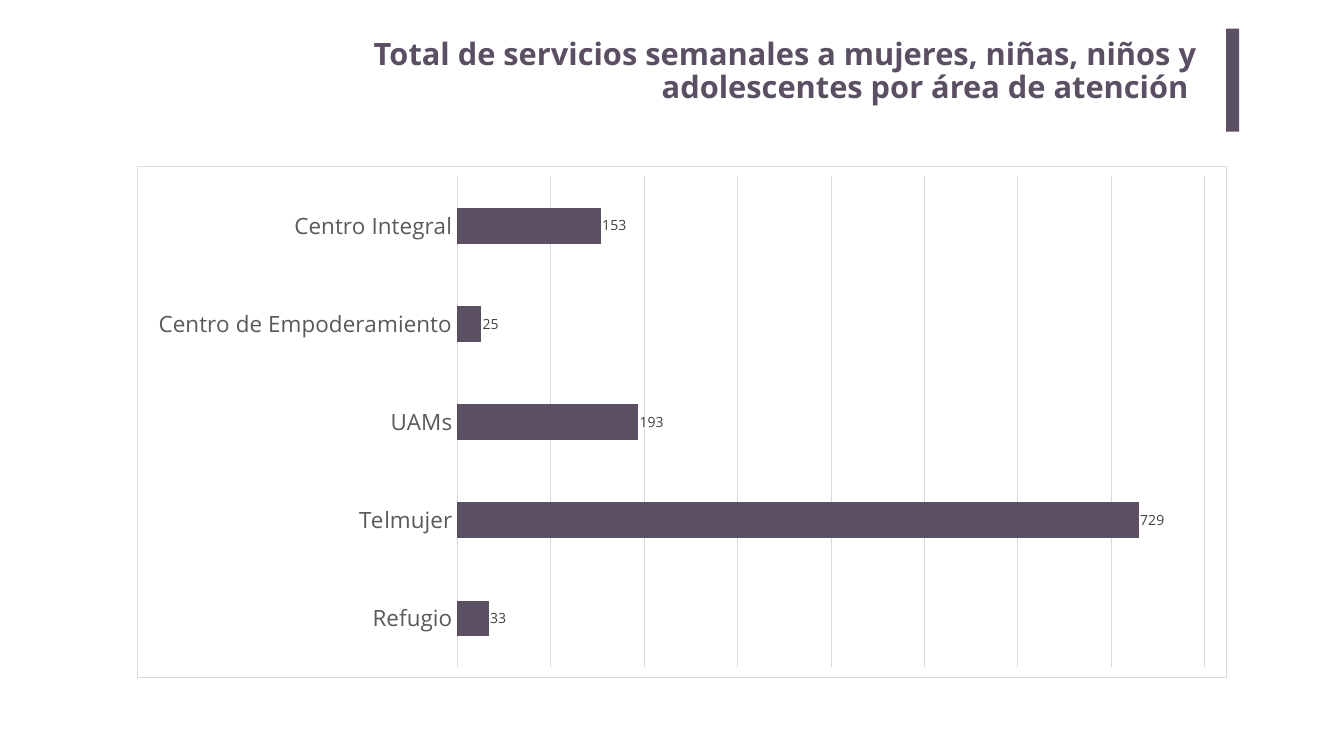
from pptx import Presentation
from pptx.chart.data import CategoryChartData
from pptx.dml.color import RGBColor
from pptx.enum.chart import XL_CHART_TYPE, XL_LABEL_POSITION, XL_TICK_LABEL_POSITION, XL_TICK_MARK
from pptx.enum.shapes import MSO_SHAPE
from pptx.enum.text import MSO_ANCHOR, MSO_AUTO_SIZE, PP_ALIGN
from pptx.oxml import parse_xml
from pptx.oxml.ns import nsdecls, qn
from pptx.util import Inches, Pt

BAR_CLUSTERED = XL_CHART_TYPE.BAR_CLUSTERED
OUTSIDE_END = XL_LABEL_POSITION.OUTSIDE_END
LABELS_LOW = XL_TICK_LABEL_POSITION.LOW
NO_TICK = XL_TICK_MARK.NONE
RECTANGLE = MSO_SHAPE.RECTANGLE
TOP = MSO_ANCHOR.TOP
NO_AUTOFIT = MSO_AUTO_SIZE.NONE
RIGHT = PP_ALIGN.RIGHT

# Content
TITLE = "Total de servicios semanales a mujeres, niñas, niños y adolescentes por área de atención "
SERVICES = {
    "Centro Integral": 153,
    "Centro de Empoderamiento": 25,
    "UAMs": 193,
    "Telmujer": 729,
    "Refugio": 33,
}
FONT = "Open Sans"
PURPLE, GRID, AXIS_TEXT, LABEL_TEXT = "5B4F63", "D9D9D9", "595959", "404040"


def color(hex_value):
    return RGBColor.from_string(hex_value)


def style_font(font, size, hex_value, bold=False):
    font.name, font.size, font.bold = FONT, Pt(size), bold
    font.color.rgb = color(hex_value)


def style_line(line, hex_value):
    line.color.rgb = color(hex_value)
    line.width = Pt(0.75)


def box(*lengths):
    return [Inches(length) for length in lengths]


prs = Presentation()
prs.slide_width, prs.slide_height = box(26.67, 15)
slide = prs.slides.add_slide(prs.slide_layouts[5])

# Title
title = slide.shapes.title
title.left, title.top, title.width, title.height = box(6.56, 0.67, 17.4, 2.04)
heading = title.text_frame
heading.text = TITLE
heading.word_wrap = True
heading.auto_size = NO_AUTOFIT
heading.vertical_anchor = TOP
heading.margin_left = heading.margin_right = Inches(0.2)
heading.margin_top = heading.margin_bottom = Inches(0.1)
heading_line = heading.paragraphs[0]
heading_line.alignment = RIGHT
heading_line.line_spacing = 0.9
style_font(heading_line.runs[0].font, 44, PURPLE, bold=True)

# Accent bar beside the title
accent = slide.shapes.add_shape(RECTANGLE, *box(24.33, 0.57, 0.26, 2.04))
accent.shadow.inherit = False
accent.fill.solid()
accent.fill.fore_color.rgb = color(PURPLE)
accent.line.fill.background()

# Chart of services by area
services_data = CategoryChartData()
services_data.categories = list(SERVICES)
services_data.add_series("Series 1", list(SERVICES.values()))
chart = slide.shapes.add_chart(BAR_CLUSTERED, *box(2.71, 3.29, 21.63, 10.16), services_data).chart
chart.has_legend = chart.has_title = False
style_font(chart.font, 10, "000000")

# Chart background and border
chart.element.find(qn("c:chart")).addnext(parse_xml(
    f'<c:spPr {nsdecls("c", "a")}>'
    '<a:solidFill><a:srgbClr val="FFFFFF"/></a:solidFill>'
    f'<a:ln w="{Pt(0.75)}"><a:solidFill><a:srgbClr val="{GRID}"/></a:solidFill></a:ln>'
    '</c:spPr>'))

# Axes
areas = chart.category_axis
areas.reverse_order = True
areas.major_tick_mark = areas.minor_tick_mark = NO_TICK
areas.tick_label_position = LABELS_LOW
areas.has_major_gridlines = False
style_line(areas.format.line, GRID)
style_font(areas.tick_labels.font, 32, AXIS_TEXT)

totals = chart.value_axis
totals.visible = False
totals.minimum_scale, totals.maximum_scale, totals.major_unit = 0, 800, 100
totals.has_major_gridlines = True
style_line(totals.major_gridlines.format.line, GRID)

# Bars and their values
plot = chart.plots[0]
plot.gap_width = 182
plot.vary_by_categories = False
bars = plot.series[0]
bars.format.fill.solid()
bars.format.fill.fore_color.rgb = color(PURPLE)
style_line(bars.format.line, PURPLE)
values = bars.data_labels
values.show_value = True
values.position = OUTSIDE_END
style_font(values.font, 20, LABEL_TEXT)

prs.save("out.pptx")
